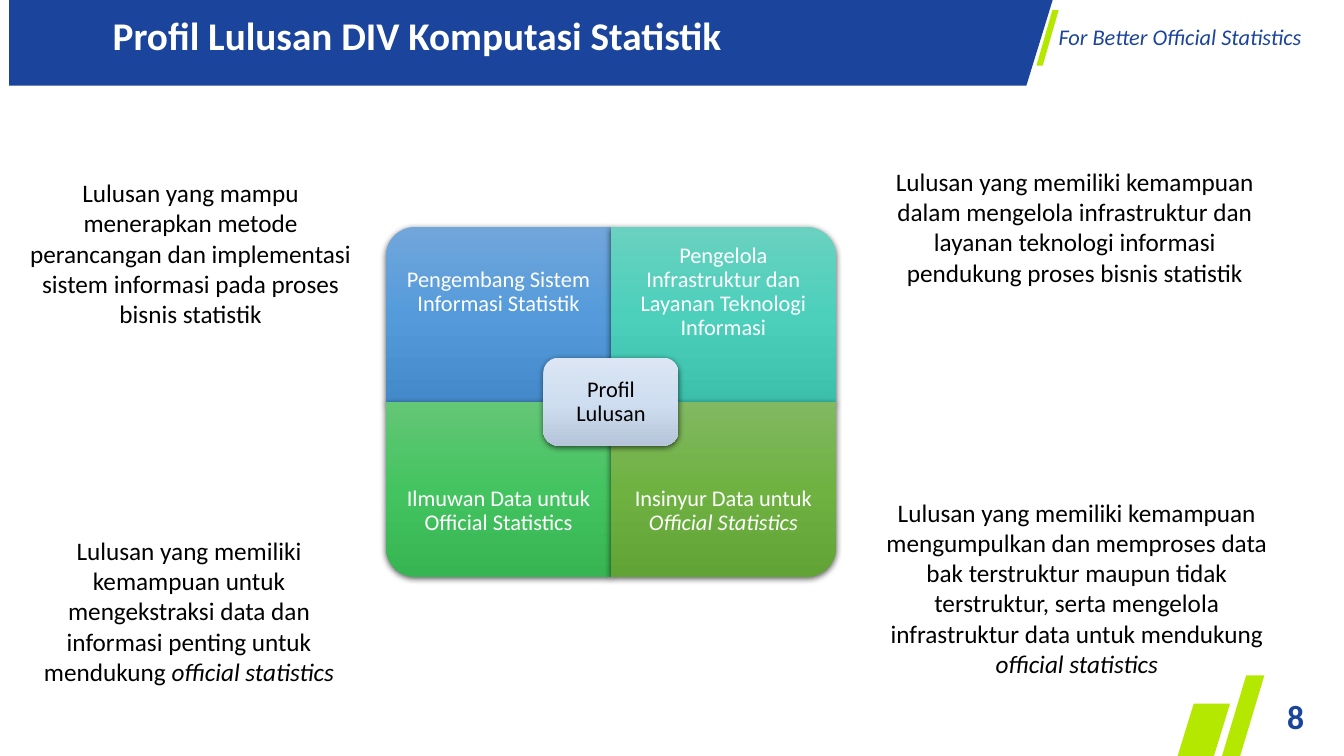
from pptx import Presentation
from pptx.dml.color import RGBColor as RGB
from pptx.enum.shapes import MSO_SHAPE as Form
from pptx.enum.text import MSO_ANCHOR as Anchor, PP_ALIGN as Align
from pptx.oxml import parse_xml as parse
from pptx.oxml.ns import nsdecls, qn
from pptx.util import Inches, Pt

FONT = "Calibri"
HUES = {
    "navy": "1B449C",
    "lime": "B4E800",
    "white": "FFFFFF",
    "black": "000000",
}
FADES = {
    "blue": ("71A6DB", "559BDB", "448ACA"),
    "teal": ("6AD1C0", "4CD0BC", "3CC0AC"),
    "green": ("64C677", "44C460", "36B552"),
    "olive": ("81B861", "6FB242", "62A336"),
    "pale": ("DBE5F3", "D0DEF1", "B6C5D9"),
}
LEFT, TOP = 3.83, 2.25
WIDE, HIGH = 2.23, 1.735
LABEL = 1.3


def color(name):
    return RGB.from_string(HUES[name])


def paint(shape, hue):
    shape.shadow.inherit = False
    shape.fill.solid()
    shape.fill.fore_color.rgb = color(hue)
    shape.line.fill.background()


def outline(shapes, points, hue):
    spots = [(Inches(x), Inches(y)) for x, y in points]
    pen = shapes.build_freeform(*spots[0], scale=1.0)
    pen.add_line_segments(spots[1:], close=True)
    paint(pen.convert_to_shape(), hue)


def text(shapes, box, runs, size, hue="black", align=Align.CENTER,
         anchor=Anchor.MIDDLE, inset=None, lead=None, bold=False):
    frame = shapes.add_textbox(*map(Inches, box)).text_frame
    frame.word_wrap = True
    frame.vertical_anchor = anchor
    if inset is not None:
        frame.margin_left = frame.margin_right = Inches(inset)
        frame.margin_top = frame.margin_bottom = Inches(inset)
    para = frame.paragraphs[0]
    para.alignment = align
    if lead:
        para.line_spacing = lead
    for words, slant in runs:
        run = para.add_run()
        run.text = words
        font = run.font
        font.name, font.size = FONT, Pt(size)
        font.bold, font.italic = bold, slant
        font.color.rgb = color(hue)


def fade(shape, hues):
    shape.line.fill.background()
    shape.fill.gradient()
    shape.fill.gradient_angle = 270
    props = shape.fill._xPr
    grad = props.find(qn("a:gradFill"))
    grad.set("rotWithShape", "0")
    stops = grad.find(qn("a:gsLst"))
    for stop in list(stops):
        stops.remove(stop)
    for step, hue in enumerate(hues):
        stops.append(parse(
            f'<a:gs {nsdecls("a")} pos="{step * 50000}">'
            f'<a:srgbClr val="{hue}"/></a:gs>'))
    props.append(parse(
        f'<a:effectLst {nsdecls("a")}>'
        f'<a:outerShdw blurRad="{Pt(4.5)}" dist="{Pt(1.5)}" dir="5400000" '
        'algn="ctr" rotWithShape="0"><a:srgbClr val="000000">'
        '<a:alpha val="63000"/></a:srgbClr></a:outerShdw></a:effectLst>'))


def tile(shapes, col, row, turn, hue, runs):
    x, y = LEFT + col * WIDE, TOP + row * HIGH
    wide, high = (HIGH, WIDE) if turn % 180 else (WIDE, HIGH)
    shape = shapes.add_shape(
        Form.ROUND_1_RECTANGLE,
        Inches(x + (WIDE - wide) / 2), Inches(y + (HIGH - high) / 2),
        Inches(wide), Inches(high))
    shape.rotation = turn
    fade(shape, FADES[hue])
    drop = row * (HIGH - LABEL)
    text(shapes, (x, y + drop, WIDE, LABEL), runs, 16, "white",
         inset=0.12, lead=0.9)


def matrix(shapes):
    tiles = [
        (0, 0, 270, "blue", [("Pengembang Sistem Informasi Statistik", False)]),
        (1, 0, 0, "teal", [("Pengelola Infrastruktur dan Layanan Teknologi "
                            "Informasi", False)]),
        (0, 1, 180, "green", [("Ilmuwan Data untuk Official Statistics", False)]),
        (1, 1, 90, "olive", [("Insinyur Data untuk ", False),
                             ("Official Statistics", True)]),
    ]
    for item in tiles:
        tile(shapes, *item)
    hub = shapes.add_shape(Form.ROUNDED_RECTANGLE, Inches(5.39), Inches(3.55),
                           Inches(1.34), Inches(0.87))
    fade(hub, FADES["pale"])
    text(shapes, (5.43, 3.6, 1.26, 0.78), [("Profil Lulusan", False)], 16,
         inset=0.07, lead=0.9)


def header(shapes):
    outline(shapes, [(0.09, -0.03), (10.45, -0.03), (10.18, 0.85),
                     (0.09, 0.85)], "navy")
    text(shapes, (1.02, 0.06, 8.76, 0.57),
         [("Profil Lulusan DIV Komputasi Statistik", False)], 28, "white",
         Align.LEFT, Anchor.TOP, bold=True)
    text(shapes, (10.4, 0.18, 2.81, 0.37),
         [("For Better Official Statistics", True)], 16, "navy",
         Align.LEFT, Anchor.TOP)
    slash = shapes.add_shape(Form.PARALLELOGRAM, Inches(10.28), Inches(0.1),
                             Inches(0.22), Inches(0.55))
    slash.adjustments[0] = 0.717
    paint(slash, "lime")


def footer(shapes):
    outline(shapes, [(12.36, 6.7), (12.54, 6.7), (12.3, 7.5), (12.12, 7.5)],
            "lime")
    outline(shapes, [(11.84, 6.98), (12.2, 6.98), (12.04, 7.5), (11.68, 7.5)],
            "lime")
    text(shapes, (12.55, 6.9, 0.6, 0.4), [("8", False)], 24, "navy", bold=True)


def notes(shapes):
    items = [
        (0.14, 1.44, 3.5,
         "Lulusan yang mampu menerapkan metode perancangan dan implementasi "
         "sistem informasi pada proses bisnis statistik", ""),
        (0.14, 4.99, 3.47,
         "Lulusan yang memiliki kemampuan untuk mengekstraksi data dan "
         "informasi penting untuk mendukung ", "official statistics"),
        (8.65, 1.18, 4.02,
         "Lulusan yang memiliki kemampuan dalam mengelola infrastruktur dan "
         "layanan teknologi informasi pendukung proses bisnis statistik", ""),
        (8.68, 4.76, 4,
         "Lulusan yang memiliki kemampuan mengumpulkan dan memproses data "
         "bak terstruktur maupun tidak terstruktur, serta mengelola "
         "infrastruktur data untuk mendukung ", "official statistics"),
    ]
    for x, y, wide, words, term in items:
        runs = [(words, False)] + ([(term, True)] if term else [])
        text(shapes, (x, y, wide, 2.14), runs, 18)


def main():
    deck = Presentation()
    deck.slide_width, deck.slide_height = Inches(13.33), Inches(7.5)
    shapes = deck.slides.add_slide(deck.slide_layouts[6]).shapes
    header(shapes)
    footer(shapes)
    matrix(shapes.add_group_shape().shapes)
    notes(shapes)
    deck.save("out.pptx")


if __name__ == "__main__":
    main()
